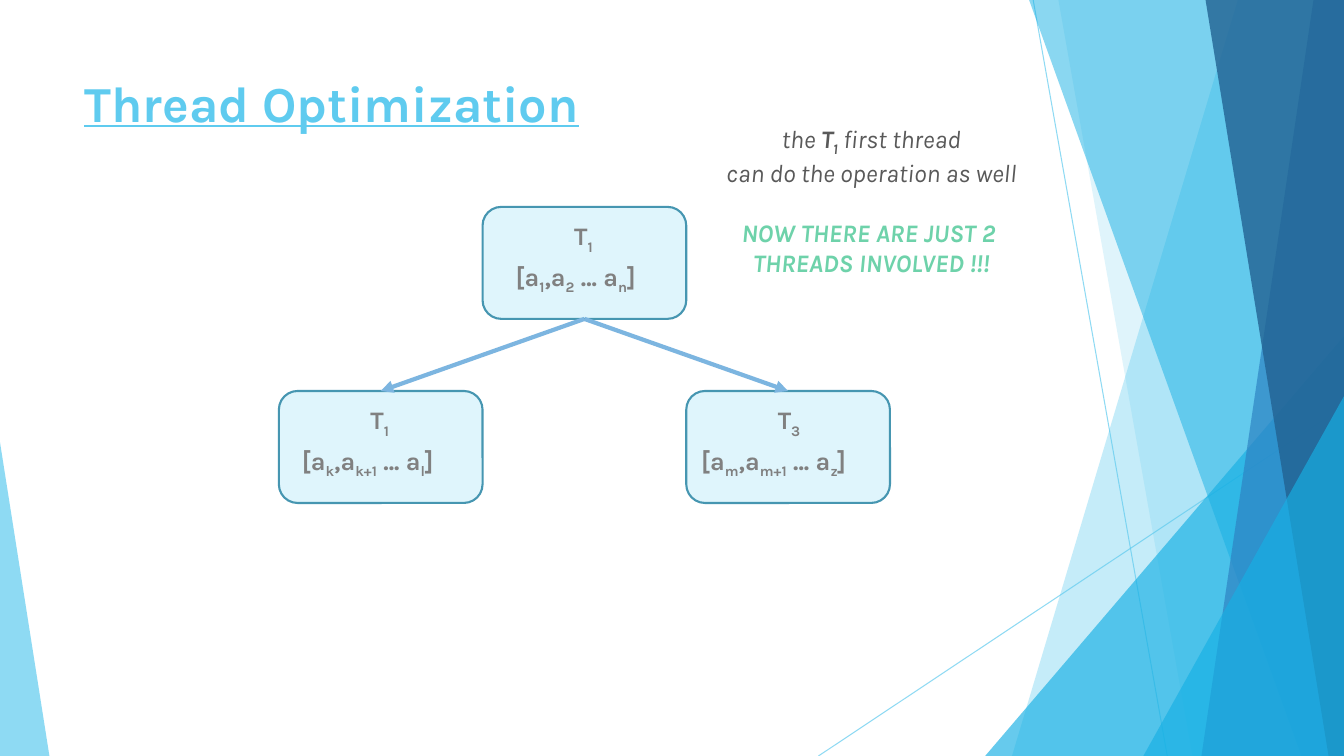
from lxml import etree
from pptx import Presentation
from pptx.dml.color import RGBColor
from pptx.enum import shapes, text
from pptx.oxml.ns import qn
from pptx.util import Pt

WIDTH, HEIGHT = 960, 540
THEME = {
    "font": "Karla", "title_size": 36, "body_size": 18,
    "sky": "5FCBEF", "cyan": "17B0E4", "blue": "2E83C3", "navy": "226292",
    "box": "DFF5FC", "border": "4696B1", "arrow": "7CB5E0",
    "label": "808080", "note": "595959", "alert": "6ED2AA",
}

# Thin lines: x1, y1, x2, y2
HAIRLINES = [(738, 0, 833.8, 540), (960, 290.2, 584.6, 540)]
# Bands reach the right edge: kind, top x, bottom x, colour, opacity
# Wedges stand on the bottom edge: kind, left, width, height, peak, colour, opacity
DECOR = [
    ("band", 884.2, 722.9, "sky", 36),
    ("band", 756, 851.8, "sky", 20),
    ("wedge", 703.7, 256.3, 300, 1, "cyan", 66),
    ("band", 735.1, 929.5, "cyan", 50),
    ("band", 938.2, 858.2, "blue", 70),
    ("band", 861.1, 949, "navy", 80),
    ("wedge", 816.7, 143.3, 257, 1, "cyan", 66),
    ("wedge", 0, 35.3, 224, 0, "sky", 70),
]

TITLE = "Thread Optimization"
# Column, row, name, value range, inset and width of the range label.
# In names and ranges every second piece is a subscript.
THREADS = [
    (1, 0, ["T", "1"], ["[a", "1", ",a", "2", " ... a", "n", "]"], 16.6, 116.6),
    (0, 1, ["T", "1"], ["[a", "k", ",a", "k+1", " ... a", "l", "]"], 9.4, 126.7),
    (2, 1, ["T", "3"], ["[a", "m", ",a", "m+1", " ... a", "z", "]"], 3.6, 137.5),
]
# Colour, space before, runs of (text, bold, subscript)
NOTE = [
    ("note", 0, [("the ", False, False), ("T", True, False),
                 ("1", True, True), (" first thread", False, False)]),
    ("note", 0, [("can do the operation as well", False, False)]),
    ("alert", 21, [("NOW THERE ARE JUST 2 ", True, False)]),
    ("alert", 0, [("THREADS INVOLVED !!!", True, False)]),
]

BOX_W, BOX_H = 145.5, 80
TREE_LEFT, TREE_TOP, ROW_STEP = 199.2, 147.8, 131.5


def color(name):
    return RGBColor.from_string(THEME[name])


def set_opacity(fill_format, percent):
    """Add an alpha value to the solid fill of a shape or line."""
    srgb = fill_format._xPr.find(".//" + qn("a:srgbClr"))
    etree.SubElement(srgb, qn("a:alpha"), val=str(percent * 1000))


def paint(sp, name, opacity=100):
    sp.shadow.inherit = False
    sp.fill.solid()
    sp.fill.fore_color.rgb = color(name)
    if opacity < 100:
        set_opacity(sp.fill, opacity)
    sp.line.fill.background()


def add_line(slide, x1, y1, x2, y2, name, width):
    line = slide.shapes.add_connector(
        shapes.MSO_CONNECTOR.STRAIGHT, Pt(x1), Pt(y1), Pt(x2), Pt(y2))
    line.line.color.rgb = color(name)
    line.line.width = Pt(width)
    etree.SubElement(line._element.spPr, qn("a:effectLst"))
    return line


def add_band(slide, top_x, bottom_x, name, opacity):
    builder = slide.shapes.build_freeform(Pt(top_x), 0)
    corners = [(WIDTH, 0), (WIDTH, HEIGHT), (bottom_x, HEIGHT)]
    builder.add_line_segments([(Pt(x), Pt(y)) for x, y in corners], close=True)
    paint(builder.convert_to_shape(), name, opacity)


def add_wedge(slide, left, width, height, peak, name, opacity):
    sp = slide.shapes.add_shape(
        shapes.MSO_SHAPE.ISOSCELES_TRIANGLE,
        Pt(left), Pt(HEIGHT - height), Pt(width), Pt(height))
    sp.adjustments[0] = peak
    paint(sp, name, opacity)


def add_text_frame(slide, left, top, width, height):
    tf = slide.shapes.add_textbox(Pt(left), Pt(top), Pt(width), Pt(height)).text_frame
    tf.word_wrap = True
    tf.vertical_anchor = text.MSO_ANCHOR.TOP
    return tf


def add_run(p, content, name, size="body_size", bold=True, sub=False):
    r = p.add_run()
    r.text = content
    r.font.name = THEME["font"]
    r.font.size = Pt(THEME[size])
    r.font.bold = bold
    r.font.color.rgb = color(name)
    if sub:
        r.font._element.set("baseline", "-25000")
    return r


def add_label(slide, left, top, width, pieces):
    p = add_text_frame(slide, left, top, width, 29).paragraphs[0]
    for i, piece in enumerate(pieces):
        add_run(p, piece, "label", sub=i % 2 == 1)


def add_thread(slide, column, row, name, values, inset, values_w):
    left = TREE_LEFT + column * BOX_W
    top = TREE_TOP + row * ROW_STEP
    sp = slide.shapes.add_shape(
        shapes.MSO_SHAPE.ROUNDED_RECTANGLE, Pt(left), Pt(top), Pt(BOX_W), Pt(BOX_H))
    paint(sp, "box")
    sp.line.color.rgb = color("border")
    sp.line.width = Pt(1.5)
    add_label(slide, left + inset, top + 35.3, values_w, values)
    add_label(slide, left + 58.3, top + 6.3, 32.4, name)
    return sp


def add_branch(slide, parent, child):
    line = add_line(slide, 0, 0, 0, 0, "arrow", 3)
    line.begin_connect(parent, 2)
    line.end_connect(child, 0)
    etree.SubElement(line.line._get_or_add_ln(), qn("a:tailEnd"), type="triangle")


def add_note(slide):
    tf = add_text_frame(slide, 498.2, 84.2, 248.4, 116.6)
    for i, (name, gap, runs) in enumerate(NOTE):
        p = tf.add_paragraph() if i else tf.paragraphs[0]
        p.alignment = text.PP_ALIGN.CENTER
        if gap:
            p.space_before = Pt(gap)
        for content, bold, sub in runs:
            add_run(p, content, name, bold=bold, sub=sub).font.italic = True


def main():
    prs = Presentation()
    prs.slide_width, prs.slide_height = Pt(WIDTH), Pt(HEIGHT)
    slide = prs.slides.add_slide(prs.slide_layouts[6])

    for ends in HAIRLINES:
        set_opacity(add_line(slide, *ends, "sky", 0.75).line.fill, 70)
    draw = {"band": add_band, "wedge": add_wedge}
    for kind, *values in DECOR:
        draw[kind](slide, *values)

    tf = add_text_frame(slide, 53.3, 48.2, 676.8, 103.7)
    add_run(tf.paragraphs[0], TITLE, "sky", "title_size").font.underline = True

    root, *children = [add_thread(slide, *thread) for thread in THREADS]
    for child in children:
        add_branch(slide, root, child)
    add_note(slide)
    prs.save("out.pptx")


if __name__ == "__main__":
    main()
